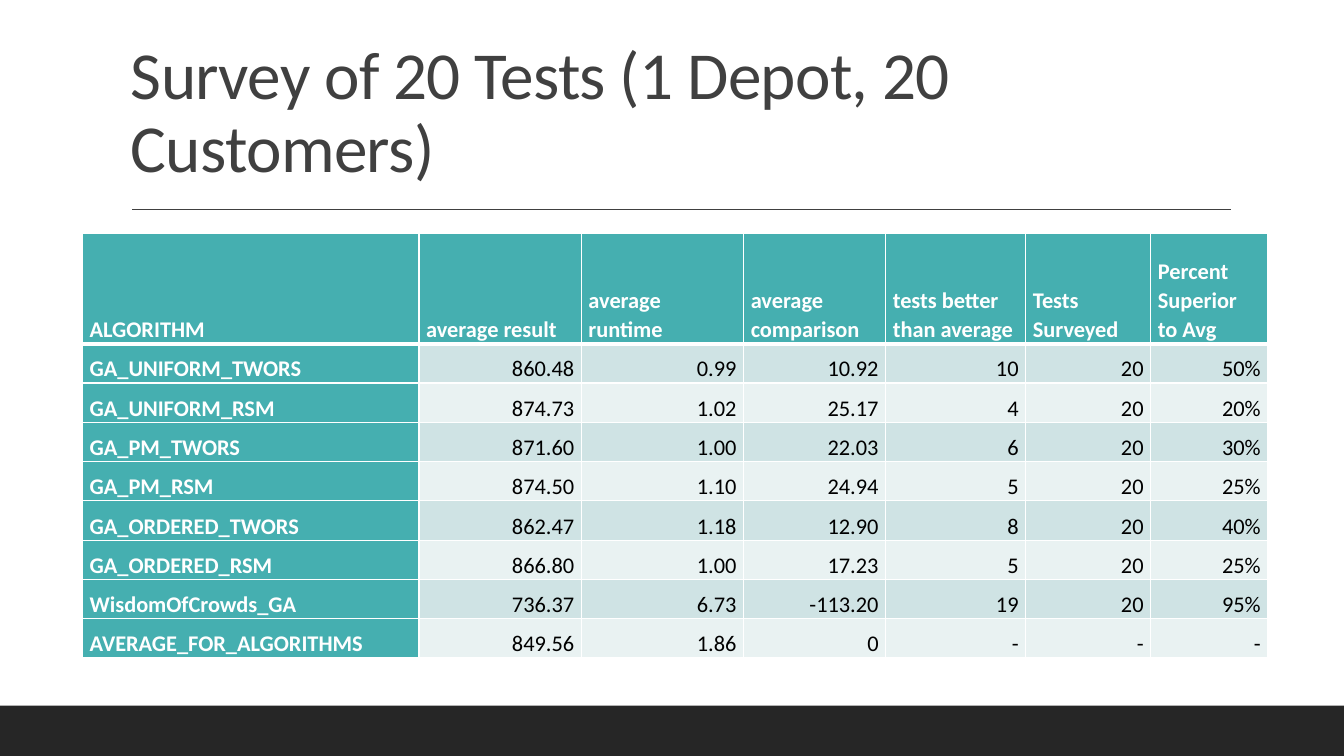
"""Build the slide that surveys 20 routing tests per algorithm."""
from dataclasses import dataclass

from lxml.etree import SubElement
from pptx import Presentation
from pptx.dml.color import RGBColor
from pptx.enum.shapes import MSO_CONNECTOR, MSO_SHAPE
from pptx.enum.text import MSO_ANCHOR, PP_ALIGN
from pptx.oxml.ns import qn
from pptx.util import Cm, Pt


@dataclass(frozen=True)
class Theme:
    font: str = "Calibri"
    title_size: int = 48
    table_size: int = 16
    title: RGBColor = RGBColor(0x40, 0x40, 0x40)
    footer: RGBColor = RGBColor(0x26, 0x26, 0x26)
    header: RGBColor = RGBColor(0x45, 0xAF, 0xB0)
    bands: tuple = (RGBColor(0xCF, 0xE3, 0xE4), RGBColor(0xE9, 0xF2, 0xF2))
    light: RGBColor = RGBColor(0xFF, 0xFF, 0xFF)
    dark: RGBColor = RGBColor(0, 0, 0)


theme = Theme()


def write_text(frame, text, *, size, color, bold=False, align=PP_ALIGN.LEFT, line_spacing=1.0):
    frame.word_wrap = True
    paragraph = frame.paragraphs[0]
    paragraph.alignment = align
    paragraph.line_spacing = line_spacing
    run = paragraph.add_run()
    run.text = text
    run.font.name = theme.font
    run.font.size = Pt(size)
    run.font.bold = bold
    run.font.color.rgb = color
    return run


def add_border(cell, side, width):
    line = SubElement(cell._tc.get_or_add_tcPr(), qn(f"a:ln{side}"), w=str(Pt(width)))
    fill = SubElement(line, qn("a:solidFill"))
    SubElement(fill, qn("a:srgbClr"), val=str(theme.light))


presentation = Presentation()
presentation.slide_width = Cm(33.87)
presentation.slide_height = Cm(19.05)
slide = presentation.slides.add_slide(presentation.slide_layouts[6])

footer = slide.shapes.add_shape(MSO_SHAPE.RECTANGLE, 0, Cm(17.78), Cm(33.87), Cm(1.27))
footer.shadow.inherit = False
footer.fill.solid()
footer.fill.fore_color.rgb = theme.footer
footer.line.fill.background()

rule = slide.shapes.add_connector(MSO_CONNECTOR.STRAIGHT, Cm(3.33), Cm(5.28), Cm(31.01), Cm(5.28))
rule.line.color.rgb = theme.title
rule.line.width = Pt(1)
SubElement(rule._element.spPr, qn("a:effectLst"))

title = slide.shapes.add_textbox(Cm(3.05), Cm(0.79), Cm(27.94), Cm(4.04))
title.text_frame.vertical_anchor = MSO_ANCHOR.BOTTOM
title_run = write_text(title.text_frame, "Survey of 20 Tests (1 Depot, 20 Customers)",
                       size=theme.title_size, color=theme.title, line_spacing=0.9)
title_run.font._element.set("spc", "-50")

survey = [
    ["ALGORITHM", "average result", "average runtime", "average comparison",
     "tests better than average", "Tests Surveyed", "Percent Superior to Avg"],
    ["GA_UNIFORM_TWORS", "860.48", "0.99", "10.92", "10", "20", "50%"],
    ["GA_UNIFORM_RSM", "874.73", "1.02", "25.17", "4", "20", "20%"],
    ["GA_PM_TWORS", "871.60", "1.00", "22.03", "6", "20", "30%"],
    ["GA_PM_RSM", "874.50", "1.10", "24.94", "5", "20", "25%"],
    ["GA_ORDERED_TWORS", "862.47", "1.18", "12.90", "8", "20", "40%"],
    ["GA_ORDERED_RSM", "866.80", "1.00", "17.23", "5", "20", "25%"],
    ["WisdomOfCrowds_GA", "736.37", "6.73", "-113.20", "19", "20", "95%"],
    ["AVERAGE_FOR_ALGORITHMS", "849.56", "1.86", "0", "-", "-", "-"],
]
column_widths = [8.48, 4.09, 4.09, 3.58, 3.53, 3.15, 2.95]
row_heights = [2.77] + [0.99] * (len(survey) - 1)

table = slide.shapes.add_table(len(survey), len(column_widths), Cm(2.08), Cm(5.89),
                               Cm(sum(column_widths)), Cm(sum(row_heights))).table
table.first_col = True
for column, width in zip(table.columns, column_widths):
    column.width = Cm(width)
for row, height in zip(table.rows, row_heights):
    row.height = Cm(height)

for row_index, values in enumerate(survey):
    for column_index, value in enumerate(values):
        cell = table.cell(row_index, column_index)
        is_heading = row_index == 0 or column_index == 0
        cell.vertical_anchor = MSO_ANCHOR.BOTTOM
        cell.margin_left = cell.margin_right = Cm(0.18)
        cell.margin_top = cell.margin_bottom = 0
        add_border(cell, "L", 1)
        add_border(cell, "R", 1)
        add_border(cell, "T", 3 if row_index == 1 else 1)
        add_border(cell, "B", 3 if row_index == 0 else 1)
        cell.fill.solid()
        cell.fill.fore_color.rgb = theme.header if is_heading else theme.bands[(row_index - 1) % 2]
        write_text(cell.text_frame, value, size=theme.table_size, bold=is_heading,
                   color=theme.light if is_heading else theme.dark,
                   align=PP_ALIGN.LEFT if is_heading else PP_ALIGN.RIGHT, line_spacing=1.07)

presentation.save("out.pptx")
